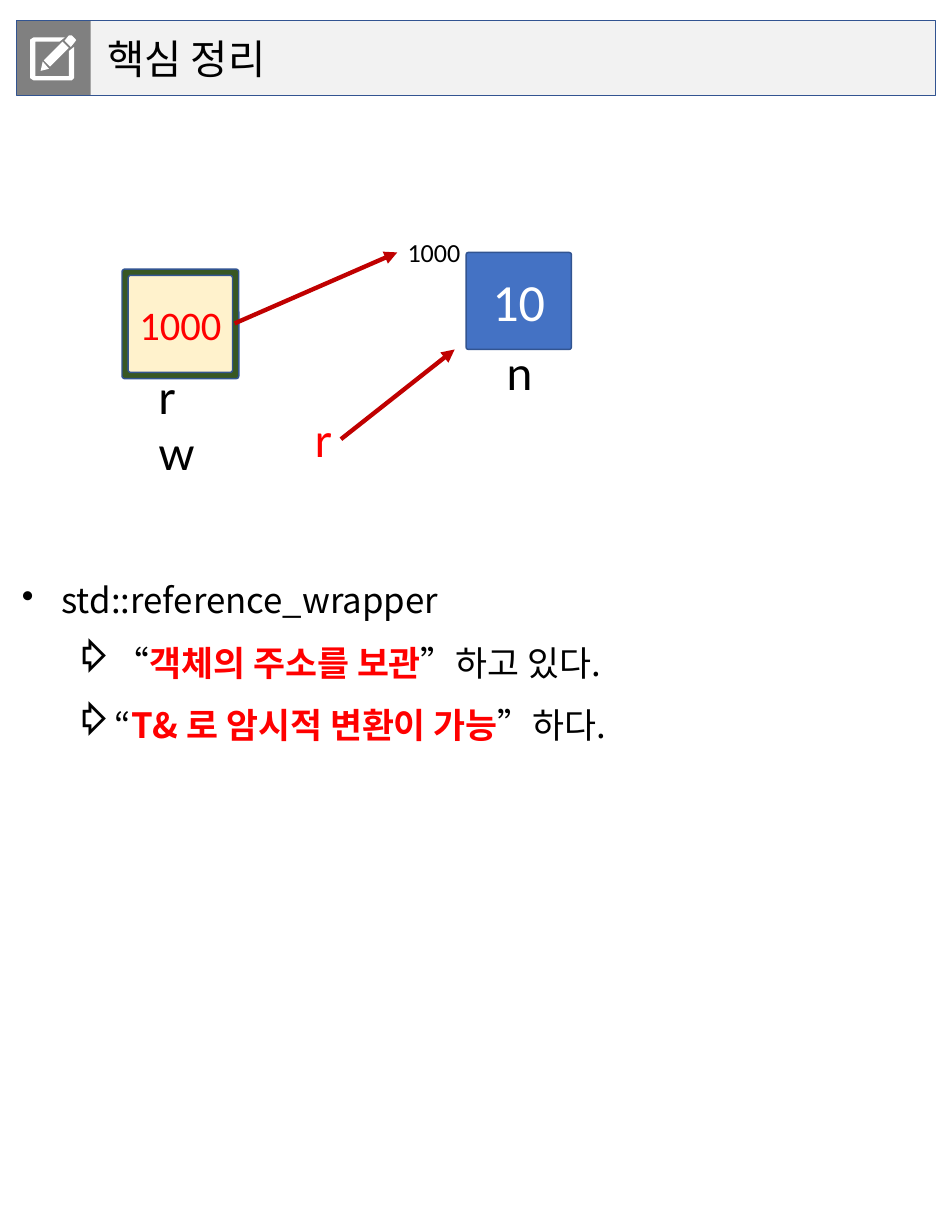
from lxml import etree
from pptx import Presentation
from pptx.dml.color import RGBColor
from pptx.enum.shapes import MSO_CONNECTOR, MSO_SHAPE
from pptx.enum.text import MSO_ANCHOR, PP_ALIGN
from pptx.oxml.ns import qn
from pptx.util import Inches, Pt

ROUNDED, RECTANGLE = MSO_SHAPE.ROUNDED_RECTANGLE, MSO_SHAPE.RECTANGLE
STRAIGHT = MSO_CONNECTOR.STRAIGHT
MIDDLE, TOP = MSO_ANCHOR.MIDDLE, MSO_ANCHOR.TOP
LEFT, CENTER = PP_ALIGN.LEFT, PP_ALIGN.CENTER

COLORS = {
    "black": "000000", "white": "FFFFFF", "red": "FF0000", "arrow": "C00000",
    "band": "F2F2F2", "tile": "808080", "outline": "325491",
    "object": "4472C4", "wrapper": "385723", "address": "FFF2CC",
}
KOREAN, LABEL, NUMBER = "Noto Sans CJK KR", "Lato", "Calibri"

# Contours of the pencil-and-page icon, in inches from its top left corner
ICON_CONTOURS = [
    [(0.43, 0.07), (0.39, 0.12), (0.33, 0.06), (0.37, 0.01), (0.4, 0.01),
     (0.43, 0.04), (0.44, 0.055)],
    [(0.12, 0.26), (0.18, 0.33), (0.1, 0.35)],
    [(0.37, 0.13), (0.19, 0.31), (0.13, 0.25), (0.31, 0.07)],
    [(0.05, 0.07), (0.05, 0.4), (0.37, 0.4), (0.37, 0.16), (0.42, 0.12),
     (0.42, 0.42), (0.4, 0.44), (0.03, 0.44), (0, 0.42), (0, 0.05),
     (0.03, 0.03), (0.33, 0.03), (0.28, 0.07)],
]


def rgb(name):
    return RGBColor.from_string(COLORS[name])


def paint(shape, fill=None, line=None, width=1):
    shape.shadow.inherit = False
    if fill:
        shape.fill.solid()
        shape.fill.fore_color.rgb = rgb(fill)
    else:
        shape.fill.background()
    if line:
        shape.line.color.rgb = rgb(line)
        shape.line.width = Pt(width)
    else:
        shape.line.fill.background()


def add_box(slide, kind, box, corner=0, **style):
    shape = slide.shapes.add_shape(kind, *map(Inches, box))
    if kind == ROUNDED:
        shape.adjustments[0] = corner
    paint(shape, **style)
    return shape


def add_run(paragraph, text, size, font, color="black", bold=False):
    run = paragraph.add_run()
    run.text = text
    run.font.size, run.font.name, run.font.bold = Pt(size), font, bold
    run.font.color.rgb = rgb(color)
    east_asian = etree.SubElement(run.font._element, qn("a:ea"))
    east_asian.set("typeface", font)


def write(shape, text, size, font, color="black", align=CENTER, anchor=MIDDLE, wrap=True):
    frame = shape.text_frame
    frame.word_wrap, frame.vertical_anchor = wrap, anchor
    paragraph = frame.paragraphs[0]
    paragraph.alignment = align
    add_run(paragraph, text, size, font, color)


def add_label(slide, box, text, size, font, color="black", wrap=False):
    label = slide.shapes.add_textbox(*map(Inches, box))
    write(label, text, size, font, color, LEFT, TOP, wrap)


def add_arrow(slide, start, end):
    arrow = slide.shapes.add_connector(STRAIGHT, *map(Inches, start + end))
    arrow.line.color.rgb = rgb("arrow")
    arrow.line.width = Pt(3)
    etree.SubElement(arrow.line._get_or_add_ln(), qn("a:tailEnd")).set("type", "triangle")
    etree.SubElement(arrow._element.spPr, qn("a:effectLst"))


def add_header(slide, left, top, width, height):
    # Title band, icon tile and the outline around both
    band = add_box(slide, ROUNDED, (left, top, width, height), fill="band")
    band.text_frame.margin_left = Inches(0.87)
    write(band, "핵심 정리", 28, KOREAN, align=LEFT)
    add_box(slide, RECTANGLE, (left, top, height, height), fill="tile")
    add_box(slide, ROUNDED, (left, top, width, height), line="outline", width=0.5)

    # Icon
    builder = None
    for contour in ICON_CONTOURS:
        points = [(Inches(x), Inches(y)) for x, y in contour]
        if builder is None:
            builder = slide.shapes.build_freeform(*points[0])
        else:
            builder.move_to(*points[0])
        builder.add_line_segments(points[1:], close=True)
    icon = builder.convert_to_shape(Inches(left + 0.13), Inches(top + 0.13))
    paint(icon, fill="white")


def add_object(slide, left, top, width, height):
    # Object n with its address beside it
    square = add_box(slide, ROUNDED, (left, top, width, height), 0.024,
                     fill="object", line="outline")
    write(square, "10", 36, NUMBER, "white")
    add_label(slide, (left + 0.29, top + 0.83, 0.44, 0.64), "n", 32, LABEL)
    add_label(slide, (left - 0.66, top - 0.2, 0.71, 0.4), "1000", 18, NUMBER)


def add_wrapper(slide, left, top, width, height):
    # Wrapper rw: a frame around the stored address
    border = 0.06
    add_box(slide, ROUNDED, (left, top, width, height), 0.024,
            fill="wrapper", line="outline")
    inner = (left + border, top + border, width - 2 * border, height - 2 * border)
    address = add_box(slide, ROUNDED, inner, 0.024, fill="address", line="outline")
    write(address, "1000", 28, NUMBER, "red")
    add_label(slide, (left + 0.25, top + 0.9, 0.67, 0.64), "rw", 32, LABEL, wrap=True)
    add_arrow(slide, (left + 1.08, top + 0.52), (left + 2.64, top - 0.16))


def add_reference(slide, left, top, width, height):
    # Reference r pointing at the object
    add_label(slide, (left, top, width, height), "r", 32, LABEL, "red")
    add_arrow(slide, (left + 0.35, top + 0.32), (left + 1.44, top - 0.54))


def add_summary(slide, left, top, width, height):
    # Bulleted summary: level, bullet, left indent, runs of (text, emphasised)
    items = [
        (0, "•", 0.38, [("std::reference_wrapper", False)]),
        (1, "⇨", 0.88, [("“", False), ("객체의 주소를 보관", True), ("”하고 있다.", False)]),
        (1, "⇨", 0.88, [("“", False), ("T& 로 암시적 변환이 가능", True), ("”하다.", False)]),
    ]
    frame = slide.shapes.add_textbox(*map(Inches, (left, top, width, height))).text_frame
    frame.word_wrap = True
    frame.margin_left, frame.margin_top = Inches(0.2), Inches(0.12)
    frame.margin_right, frame.margin_bottom = Inches(0.1), Inches(0.2)
    for index, (level, bullet, indent, runs) in enumerate(items):
        paragraph = frame.add_paragraph() if index else frame.paragraphs[0]
        paragraph.level, paragraph.line_spacing = level, 1.5
        properties = paragraph._p.get_or_add_pPr()
        properties.set("marL", str(Inches(indent)))
        properties.set("indent", str(Inches(-0.38)))
        etree.SubElement(properties, qn("a:buChar")).set("char", bullet)
        for text, emphasised in runs:
            add_run(paragraph, text, 24, KOREAN, "red" if emphasised else "black", emphasised)


presentation = Presentation()
presentation.slide_width, presentation.slide_height = Inches(9.12), Inches(11.81)
slide = presentation.slides.add_slide(presentation.slide_layouts[6])
add_header(slide, 0.16, 0.2, 8.81, 0.71)
add_object(slide, 4.47, 2.42, 1.01, 0.93)
add_wrapper(slide, 1.17, 2.58, 1.12, 1.05)
add_reference(slide, 2.92, 3.89, 0.36, 0.64)
add_summary(slide, 0.01, 5.23, 9.11, 2.08)
presentation.save("out.pptx")
